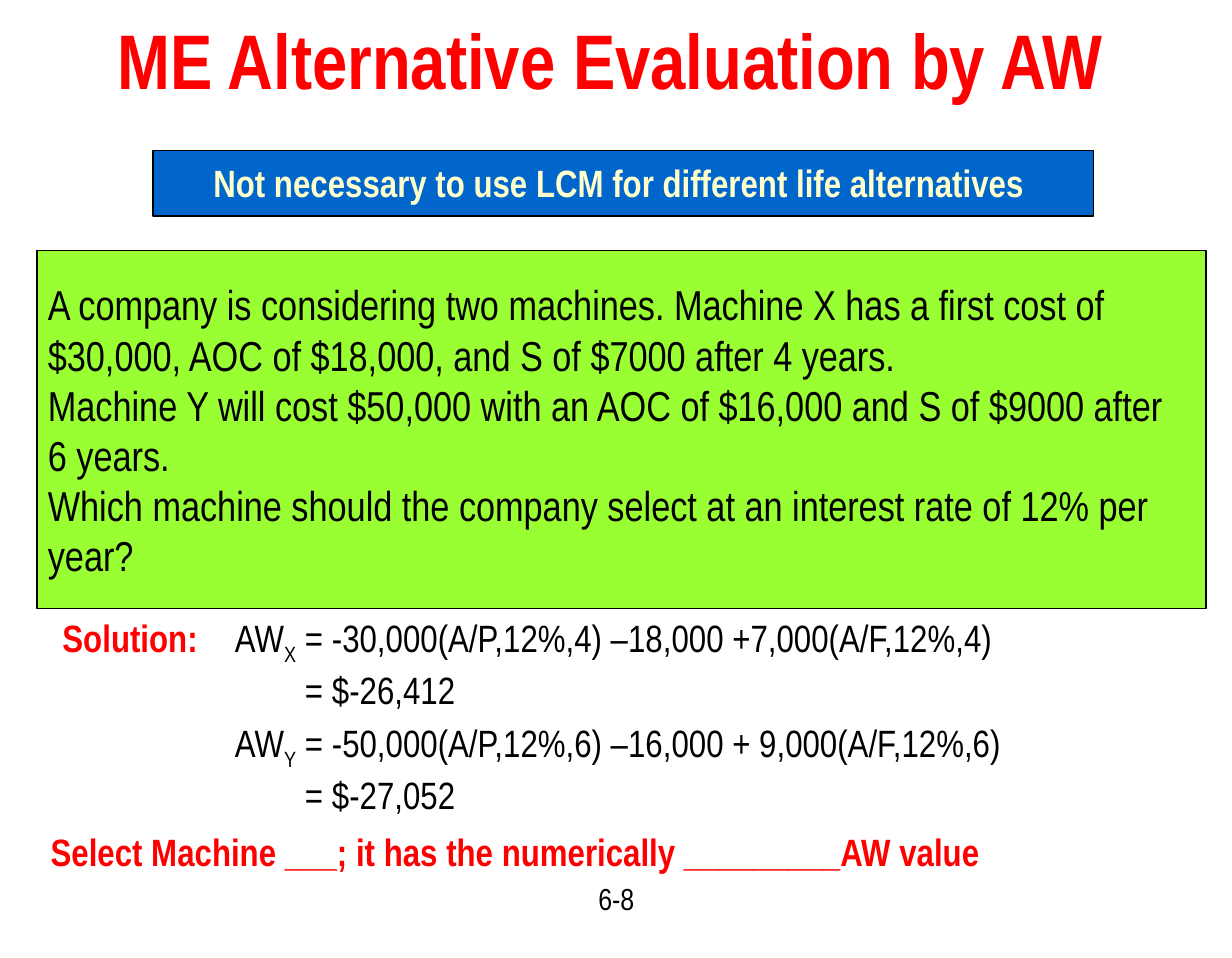
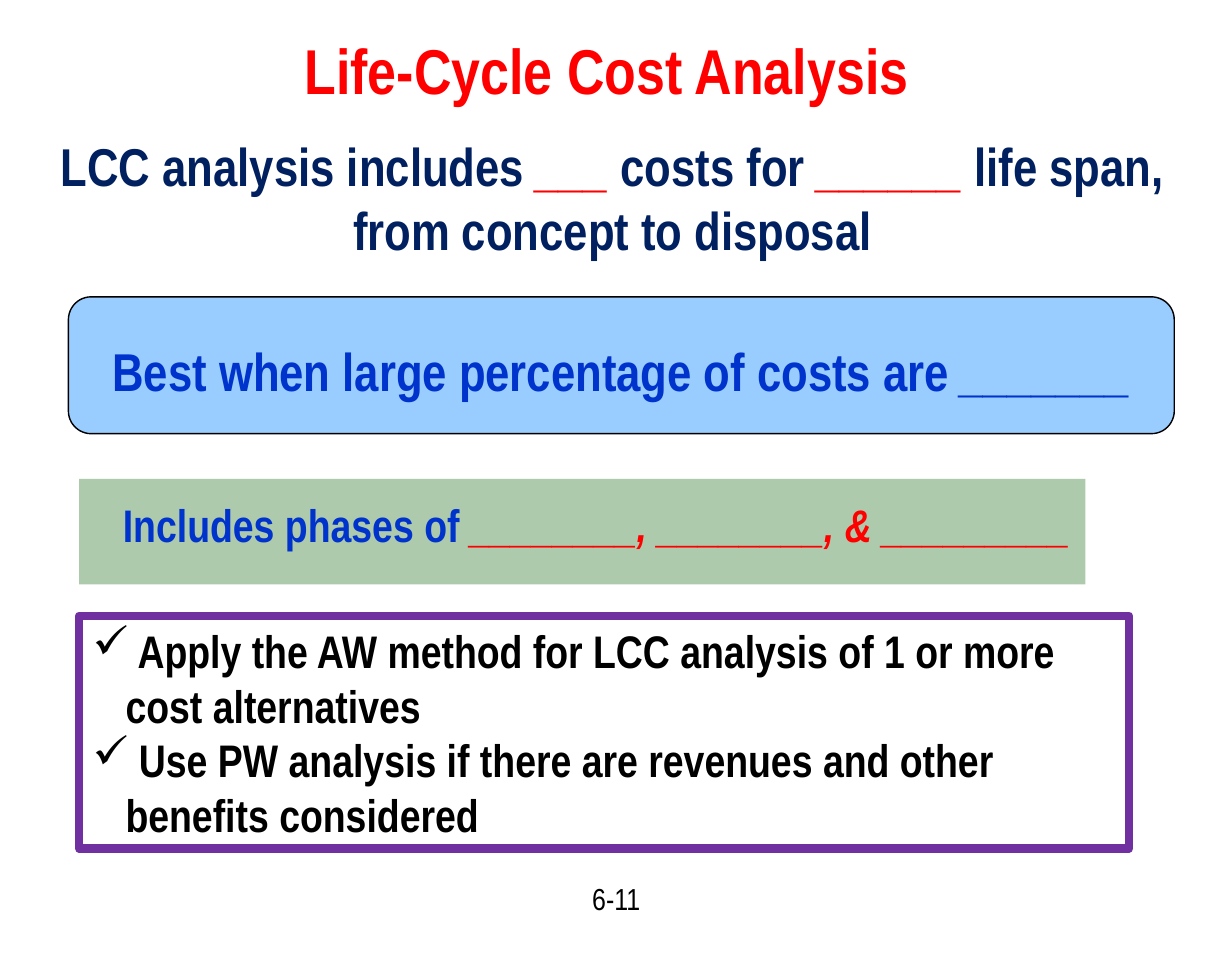
from pptx import Presentation
from pptx.dml.color import RGBColor
from pptx.enum.shapes import MSO_SHAPE as SHAPE
from pptx.enum.text import MSO_ANCHOR as ANCHOR, MSO_AUTO_SIZE as AUTO, PP_ALIGN as ALIGN
from pptx.oxml.ns import qn
from pptx.util import Cm, Pt
from lxml.etree import SubElement

FONT = "Arial Narrow"
INSETS = (0.25, 0.13, 0.25, 0.13)
C = {
    "black": "000000", "red": "FF0000", "cream": "FFFFCC", "navy": "002060",
    "blue": "0033CC", "banner": "0066CC", "lime": "99FF33", "sky": "99CCFF",
    "sage": "ADCAAD", "purple": "7030A0",
}


def rgb(name):
    return RGBColor.from_string(C[name])


def set_frame(tf, anchor=ANCHOR.TOP, insets=INSETS):
    tf.word_wrap = True
    tf.auto_size = AUTO.NONE
    tf.vertical_anchor = anchor
    tf.margin_left, tf.margin_top, tf.margin_right, tf.margin_bottom = map(Cm, insets)


def add_run(p, text, size, color, bold=False, italic=False, sub=False):
    r = p.add_run()
    r.text = text
    r.font.name, r.font.size = FONT, Pt(size)
    r.font.bold, r.font.italic = bold, italic
    r.font.color.rgb = rgb(color)
    if sub:
        r._r.get_or_add_rPr().set("baseline", "-25000")


def write(tf, paragraphs, size, color, bold=False, align=ALIGN.LEFT):
    for i, runs in enumerate(paragraphs):
        p = tf.paragraphs[0] if i == 0 else tf.add_paragraph()
        p.alignment = align
        for text, style in runs:
            add_run(p, text, size, **{"color": color, "bold": bold, **style})


def indent(p, left, first=0, bullet=None):
    pPr = p._p.get_or_add_pPr()
    pPr.set("marL", str(Cm(left)))
    pPr.set("indent", str(Cm(first)))
    if bullet:
        SubElement(pPr, qn("a:buChar")).set("char", bullet)


def add_title(s, text, box, size):
    sp = s.shapes.title
    sp.left, sp.top, sp.width, sp.height = map(Cm, box)
    set_frame(sp.text_frame, ANCHOR.MIDDLE)
    write(sp.text_frame, [[(text, {})]], size, "red", True, ALIGN.CENTER)


def add_text(s, box, paragraphs, size, color, bold=False, align=ALIGN.LEFT):
    tf = s.shapes.add_textbox(*map(Cm, box)).text_frame
    set_frame(tf)
    write(tf, paragraphs, size, color, bold, align)
    return tf


def add_panel(s, box, fill=None, line=None, weight=0.75, kind=SHAPE.RECTANGLE, insets=INSETS):
    sp = s.shapes.add_shape(kind, *map(Cm, box))
    sp.shadow.inherit = False
    if fill:
        sp.fill.solid()
        sp.fill.fore_color.rgb = rgb(fill)
    else:
        sp.fill.background()
    if line:
        sp.line.color.rgb = rgb(line)
        sp.line.width = Pt(weight)
    else:
        sp.line.fill.background()
    set_frame(sp.text_frame, ANCHOR.MIDDLE, insets)
    return sp.text_frame


def add_equation(s, top, machine, formula, result):
    tf = add_text(s, (4.11, top, 15.5, 2.08), [
        [("AW", {}), (machine, {"sub": True}), (f" = {formula}", {})],
        [(f"= {result}", {})],
    ], 20, "black")
    indent(tf.paragraphs[1], 1.3)


def add_slide(prs, title, title_box, title_size, page):
    s = prs.slides.add_slide(prs.slide_layouts[5])
    add_title(s, title, title_box, title_size)
    add_text(s, (9.91, 16.21, 3.05, 1.19), [[(f"6-{page}", {})]], 16, "black",
             align=ALIGN.CENTER)
    return s


def build_evaluation(prs):
    s = add_slide(prs, "ME Alternative Evaluation by AW", (0.43, 0.05, 21.79, 2.08), 40.7, 8)
    tf = add_panel(s, (2.84, 2.79, 17.45, 1.22), "banner", "black",
                   insets=(1.12, 0.1, 0.25, 0.15))
    write(tf, [[("Not necessary to use LCM for different life alternatives", {})]],
          20, "cream", True)
    tf = add_panel(s, (0.69, 4.65, 21.69, 6.65), "lime", "black",
                   insets=(0.2, 0.13, 0.61, 0.13))
    problem = [
        "A company is considering two machines. Machine X has a first cost of $30,000, "
        "AOC of $18,000, and S of $7000 after 4 years.",
        "Machine Y will cost $50,000 with an AOC of $16,000 and S of $9000 after 6 years.",
        "Which machine should the company select at an interest rate of 12% per year?",
    ]
    write(tf, [[(text, {})] for text in problem], 22, "black")
    add_text(s, (0.91, 11.28, 3.2, 1.12), [[("Solution:", {})]], 20, "red", True)
    add_equation(s, 11.28, "X", "-30,000(A/P,12%,4) –18,000 +7,000(A/F,12%,4)", "$-26,412")
    add_equation(s, 13.23, "Y", "-50,000(A/P,12%,6) –16,000 + 9,000(A/F,12%,6)", "$-27,052")
    add_text(s, (0.69, 15.24, 18.5, 1.12),
             [[("Select Machine ___; it has the numerically _________AW value", {})]],
             20, "red", True)


def build_life_cycle(prs):
    s = add_slide(prs, "Life-Cycle Cost Analysis", (1.27, 0.43, 19.99, 1.7), 33.3, 11)
    blank = {"color": "red", "italic": True}
    add_text(s, (0.66, 2.34, 21.4, 2.64), [
        [("LCC analysis includes ", {}), ("___ ", blank), ("costs for ", {}),
         ("______", blank), (" life span,", {})],
        [("from concept to disposal", {})],
    ], 28, "navy", True, ALIGN.CENTER)
    tf = add_panel(s, (1.27, 5.51, 20.52, 2.54), "sky", "black",
                   kind=SHAPE.ROUNDED_RECTANGLE, insets=(0.25, 0.3, 0.25, 0.13))
    write(tf, [[("Best when large percentage of costs are ", {}),
                ("_______", {"italic": True})]], 28, "blue", True, ALIGN.CENTER)
    tf = add_panel(s, (1.47, 8.89, 18.67, 1.96), "sage", insets=(0.81, 0.1, 0, 0.38))
    write(tf, [[("Includes phases of ", {}), ("________, ________, & _________", blank)]],
          24, "blue", True)
    tf = add_panel(s, (1.47, 11.43, 19.48, 4.32), line="purple", weight=4.5)
    advice = [
        " Apply the AW method for LCC analysis of 1 or more cost alternatives",
        " Use PW analysis if there are revenues and other benefits considered",
    ]
    write(tf, [[(text, {})] for text in advice], 24, "black", True)
    for p in tf.paragraphs:
        indent(p, 0.61, -0.61, "✓")


def main():
    prs = Presentation()
    prs.slide_width, prs.slide_height = Cm(22.86), Cm(17.78)
    build_evaluation(prs)
    build_life_cycle(prs)
    prs.save("out.pptx")


if __name__ == "__main__":
    main()
